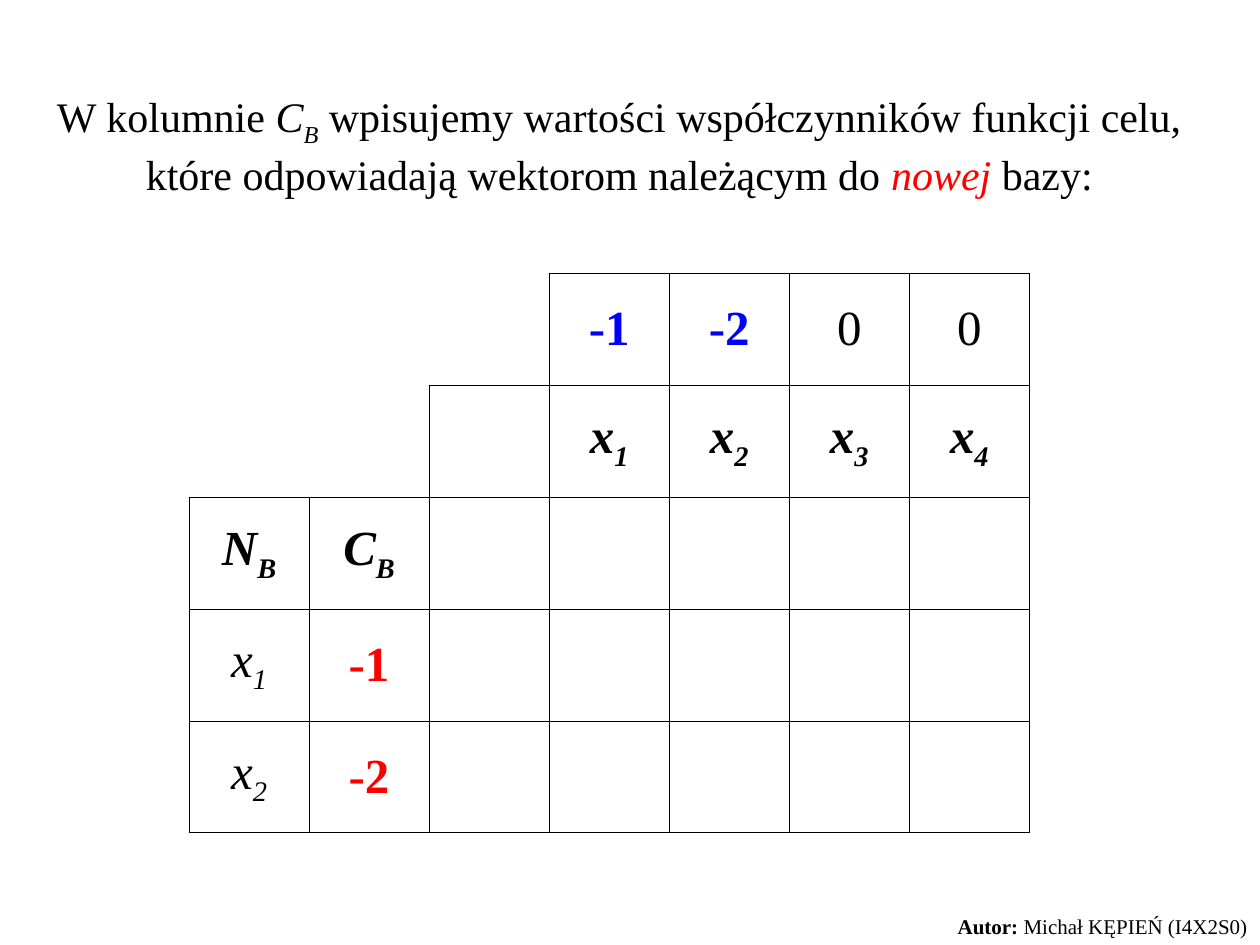
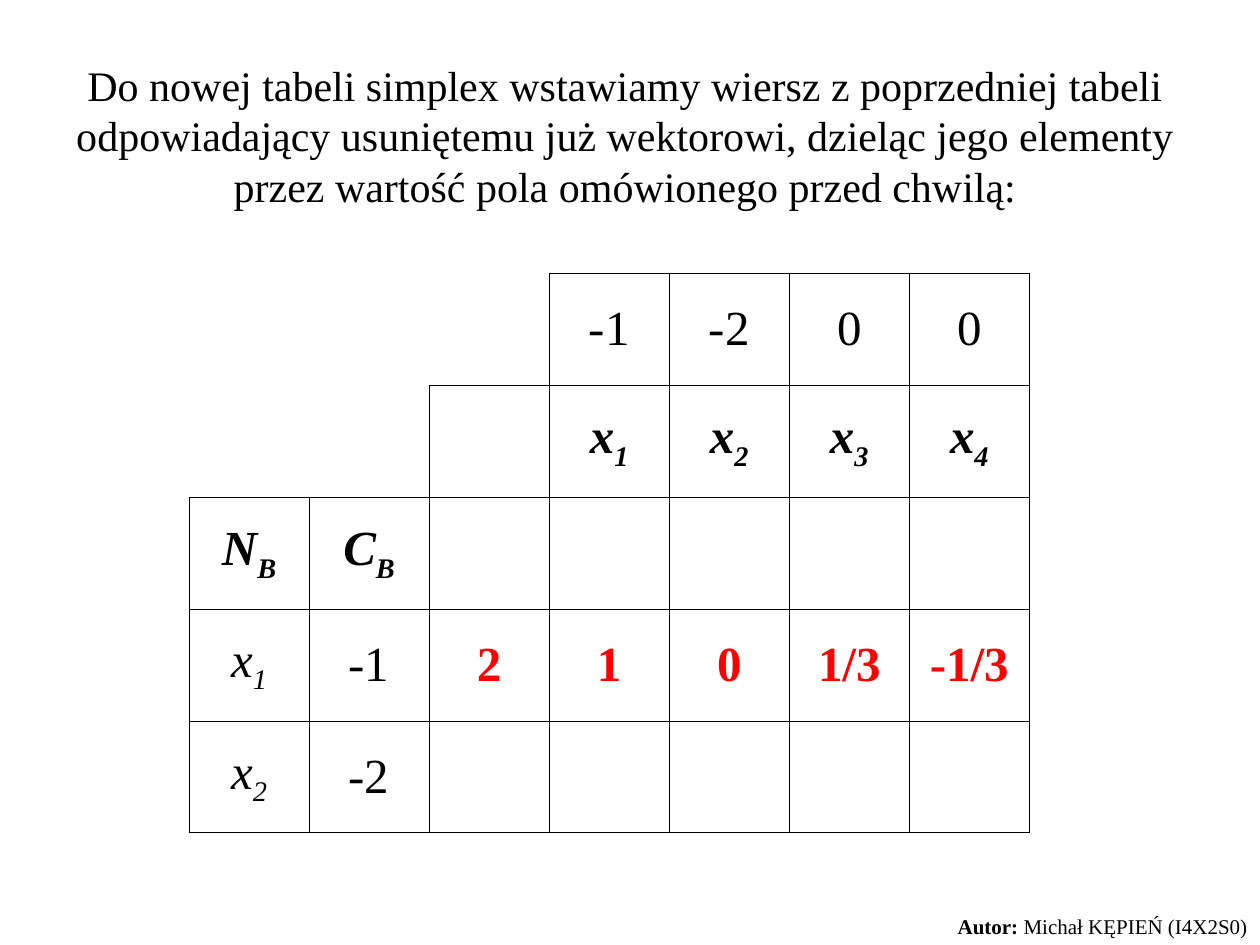
from dataclasses import dataclass
from typing import NamedTuple

from lxml import etree
from pptx import Presentation
from pptx import util as u
from pptx.dml import color as clr
from pptx.enum import text as txt
from pptx.oxml import ns

HUES = {"ink": "000000", "red": "FF0000", "blue": "0000FF"}
FONT = "Times New Roman"
COLS, ROWS = 7, 5
STEPS = (3, 2, 0, 0, 0)
SIDES = {"a:lnL": (0, -1), "a:lnR": (0, 1), "a:lnT": (-1, 0), "a:lnB": (1, 0)}


class Part(NamedTuple):
    text: str
    hue: str = "ink"
    bold: bool = False
    ital: bool = False
    sub: bool = False


class Box(NamedTuple):
    left: float
    top: float
    width: float
    height: float


Parts = list[Part]
Cells = dict[tuple[int, int], Parts]


@dataclass
class Page:
    box: Box
    title: Parts
    cells: Cells


GRID = Box(1.5, 2.17, 6.67, 4.44)
FOOT = Box(7.33, 7.2, 2.67, 0.3)
AUTHOR = [Part("Autor:", bold=True), Part(" Michał KĘPIEŃ (I4X2S0)")]


def symbol(name: str, index: str, bold: bool = False) -> Parts:
    return [Part(name, bold=bold, ital=True),
            Part(index, bold=bold, ital=True, sub=True)]


def number(value: str, hue: str = "ink") -> Parts:
    return [Part(value, hue, bold=hue != "ink")]


def tableau(top: str, base: str) -> Cells:
    cells = {(0, 3 + i): number(v, top if v != "0" else "ink")
             for i, v in enumerate(("-1", "-2", "0", "0"))}
    cells |= {(1, 2 + i): symbol("x", str(i), True) for i in range(1, 5)}
    cells |= {(2, i): symbol(v, "B", True) for i, v in enumerate("NC")}
    for i in (1, 2):
        cells[2 + i, 0] = symbol("x", str(i))
        cells[2 + i, 1] = number(f"-{i}", base)
    return cells


def write(frame, parts: Parts, size: float, align, gap: float) -> None:
    para = frame.paragraphs[0]
    para.alignment = align
    para.space_before = u.Pt(gap)
    for part in parts:
        run = para.add_run()
        run.text = part.text
        font = run.font
        font.name, font.size = FONT, u.Pt(size)
        font.bold, font.italic = part.bold, part.ital
        font.color.rgb = clr.RGBColor.from_string(HUES[part.hue])
        if part.sub:
            run._r.get_or_add_rPr().set("baseline", "-25000")


def fit(frame) -> None:
    frame.word_wrap = True
    frame.auto_size = txt.MSO_AUTO_SIZE.SHAPE_TO_FIT_TEXT
    frame.vertical_anchor = txt.MSO_ANCHOR.TOP


def inside(row: int, col: int) -> bool:
    return 0 <= row < ROWS and STEPS[row] <= col < COLS


def edge(cell, row: int, col: int) -> None:
    props = cell._tc.get_or_add_tcPr()
    for tag, (down, right) in SIDES.items():
        line = etree.SubElement(props, ns.qn(tag), w=str(u.Pt(0.45)))
        if inside(row, col) or inside(row + down, col + right):
            fill = etree.SubElement(line, ns.qn("a:solidFill"))
            etree.SubElement(fill, ns.qn("a:srgbClr"), val=HUES["ink"])
        else:
            etree.SubElement(line, ns.qn("a:noFill"))


def draw_grid(slide, cells: Cells) -> None:
    table = slide.shapes.add_table(ROWS, COLS, *map(u.Inches, GRID)).table
    table.first_row = table.horz_banding = False
    for col in table.columns:
        col.width = u.Inches(GRID.width / COLS)
    for row in table.rows:
        row.height = u.Inches(GRID.height / ROWS)
    for row in range(ROWS):
        for col in range(COLS):
            cell = table.cell(row, col)
            edge(cell, row, col)
            cell.fill.background()
            cell.vertical_anchor = txt.MSO_ANCHOR.MIDDLE
            if (row, col) in cells:
                write(cell.text_frame, cells[row, col], 28,
                      txt.PP_ALIGN.CENTER, 7)


def draw_page(deck, page: Page) -> None:
    slide = deck.slides.add_slide(deck.slide_layouts[5])
    title = slide.shapes.title
    title.left, title.top, title.width, title.height = map(u.Inches, page.box)
    fit(title.text_frame)
    write(title.text_frame, page.title, 24, txt.PP_ALIGN.CENTER, 15)
    draw_grid(slide, page.cells)
    foot = slide.shapes.add_textbox(*map(u.Inches, FOOT)).text_frame
    fit(foot)
    write(foot, AUTHOR, 12, txt.PP_ALIGN.RIGHT, 7.5)


def main() -> None:
    pivot = {(3, 2 + i): number(v, "red")
             for i, v in enumerate(("2", "1", "0", "1/3", "-1/3"))}
    pages = [
        Page(Box(0.25, 0.67, 9.33, 0.96),
             [Part("W kolumnie "), *symbol("C", "B"),
              Part(" wpisujemy wartości współczynników funkcji celu, "
                   "które odpowiadają wektorom należącym do "),
              Part("nowej", "red", ital=True), Part(" bazy:")],
             tableau("blue", "red")),
        Page(Box(0.25, 0.42, 9.42, 1.3),
             [Part("Do nowej tabeli simplex wstawiamy wiersz z poprzedniej "
                   "tabeli odpowiadający usuniętemu już wektorowi, dzieląc "
                   "jego elementy przez wartość pola omówionego przed "
                   "chwilą:")],
             tableau("ink", "ink") | pivot),
    ]
    deck = Presentation()
    deck.slide_width, deck.slide_height = u.Inches(10), u.Inches(7.5)
    for page in pages:
        draw_page(deck, page)
    deck.save("out.pptx")


if __name__ == "__main__":
    main()
